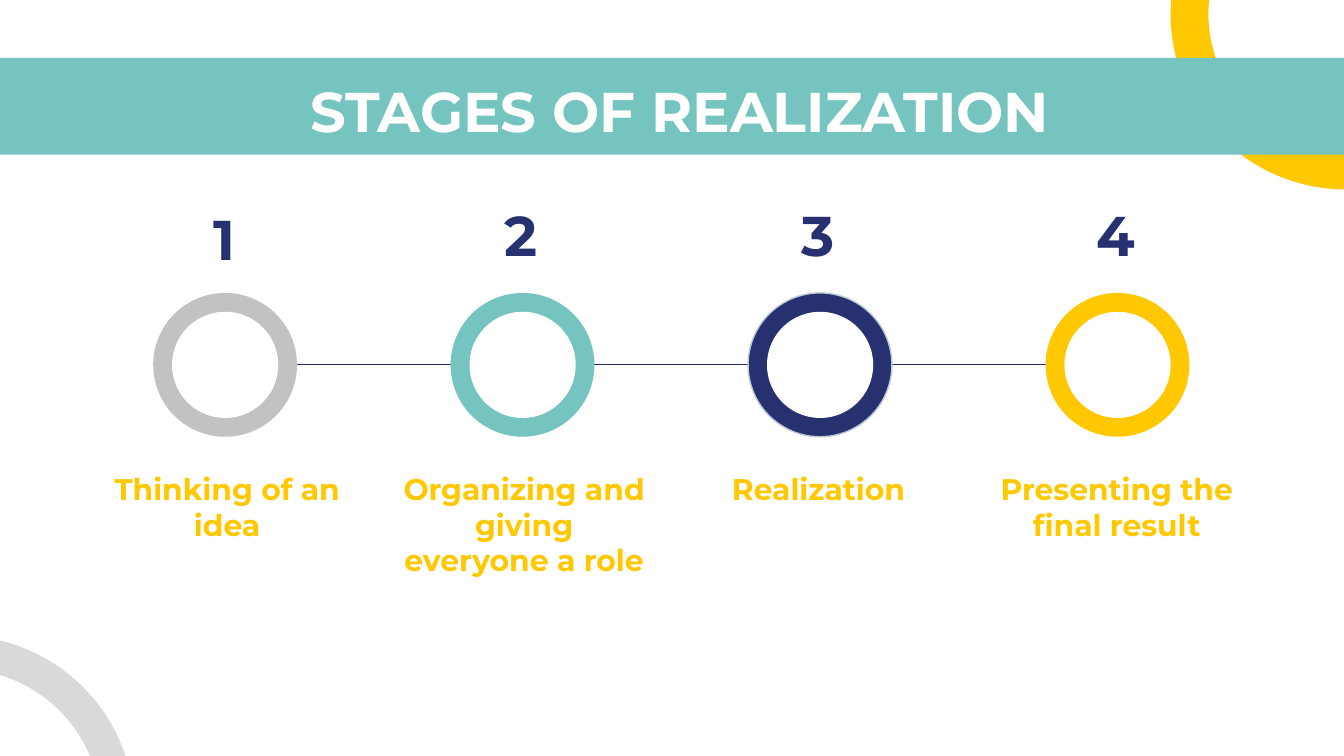
import pptx
import pptx.util
import pptx.dml.color
import pptx.enum.shapes
import pptx.enum.text
import pptx.oxml

Inches, Pt = pptx.util.Inches, pptx.util.Pt
SHAPE = pptx.enum.shapes.MSO_SHAPE
ALIGN = pptx.enum.text.PP_ALIGN
ANCHOR = pptx.enum.text.MSO_ANCHOR

WHITE, TEAL, NAVY, GOLD = "FFFFFF", "75C4C0", "27316F", "FFC800"


def color(code):
    return pptx.dml.color.RGBColor.from_string(code)


def write(frame, text, size=16, ink=GOLD, align=ALIGN.CENTER, anchor=ANCHOR.TOP):
    frame.word_wrap = True
    frame.vertical_anchor = anchor
    frame.margin_left = frame.margin_right = Inches(0.1)
    frame.margin_top = frame.margin_bottom = Inches(0.1)
    para = frame.paragraphs[0]
    para.alignment = align
    run = para.add_run()
    run.text = text
    run.font.name = "Montserrat"
    run.font.size = Pt(size)
    run.font.bold = True
    run.font.color.rgb = color(ink)


class Board:
    width = Pt(0.75)

    def __init__(self, slide):
        self.shapes = slide.shapes

    def shape(self, kind, x, y, w, h, fill, line=None):
        item = self.shapes.add_shape(kind, Inches(x), Inches(y), Inches(w), Inches(h))
        item.shadow.inherit = False
        item.fill.solid()
        item.fill.fore_color.rgb = color(fill)
        if line:
            item.line.color.rgb = color(line)
            item.line.width = self.width
        else:
            item.line.fill.background()
        return item

    def arc(self, x, y, size, fill, turn, start, end, thick):
        item = self.shape(SHAPE.BLOCK_ARC, x, y, size, size, fill)
        item.rotation = turn
        for i, value in enumerate((start, end, thick)):
            item.adjustments[i] = value

    def ring(self, x, y, size, fill, line=None):
        self.shape(SHAPE.OVAL, x, y, size, size, fill, line)
        gap = (size - 0.79) / 2
        self.shape(SHAPE.OVAL, x + gap, y + gap, 0.79, 0.79, WHITE)

    def line(self, left, right, y, ink):
        item = self.shapes.add_connector(
            pptx.enum.shapes.MSO_CONNECTOR.STRAIGHT,
            Inches(left), Inches(y), Inches(right), Inches(y))
        item.line.color.rgb = color(ink)
        item.line.width = self.width
        item._element.spPr.append(pptx.oxml.parse_xml(
            '<a:effectLst xmlns:a="http://schemas.openxmlformats.org/drawingml/2006/main"/>'))

    def text(self, x, y, w, h, text, **style):
        box = self.shapes.add_textbox(Inches(x), Inches(y), Inches(w), Inches(h))
        write(box.text_frame, text, **style)


# A 16:9 slide
deck = pptx.Presentation()
deck.slide_width = Inches(10)
deck.slide_height = Inches(10) * 9 // 16
board = Board(deck.slides.add_slide(deck.slide_layouts[6]))

# Backdrop: corner arcs and title band
board.arc(8.71, -1.2, 2.61, GOLD, 270, 108.21, 165.56, 0.108)
board.shape(SHAPE.RECTANGLE, -0.17, 0.43, 10.34, 0.72, TEAL)
board.arc(-1.61, 4.73, 2.61, "D9D9D9", 345, 175.07, 215.56, 0.095)
board.text(2.21, 0.47, 8.46, 0.63, "STAGES OF REALIZATION",
           size=30, ink=WHITE, align=ALIGN.LEFT)

# Stages: label, label left, number top and height, ring fill, ring line
stages = [
    ("Thinking of an idea", 0.68, 1.53, 0.49, "C2C2C2", None),
    ("Organizing and giving everyone a role", 2.89, 1.52, 0.45, TEAL, None),
    ("Realization", 5.08, 1.52, 0.45, NAVY, "BAC8D3"),
    ("Presenting the final result", 7.3, 1.52, 0.45, GOLD, None),
]
FIRST, LAST, SIZE = 1.14, 7.78, 1.07
STEP = (LAST - FIRST) / (len(stages) - 1)

# Links between neighbouring rings
for i in range(len(stages) - 1):
    left = FIRST + i * STEP
    board.line(left + SIZE, left + STEP, 2.71, NAVY)

# Rings, labels and numbers
for i, (label, left, top, high, fill, edge) in enumerate(stages):
    x = FIRST + i * STEP
    board.ring(x, 2.18, SIZE, fill, edge)
    board.text(left, 3.4, 2.02, 0.55, label)
    board.text(1.22 + i * 2.21, top, 0.9, high, str(i + 1),
               size=30, ink=NAVY, anchor=ANCHOR.MIDDLE)

deck.save("out.pptx")
